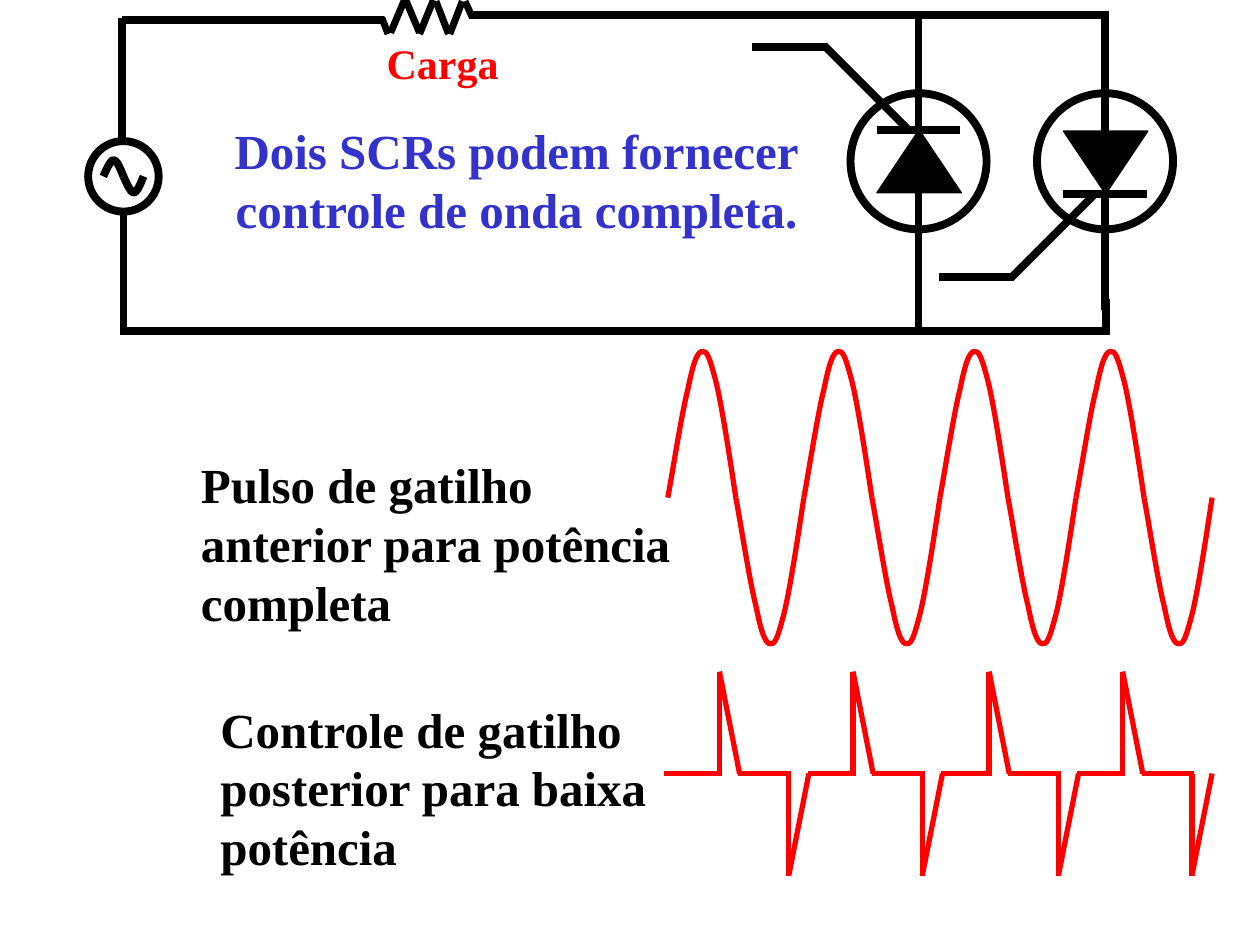
from pptx import Presentation
from pptx.dml.color import RGBColor
from pptx.enum.shapes import MSO_CONNECTOR, MSO_SHAPE
from pptx.enum.text import MSO_AUTO_SIZE, PP_ALIGN
from pptx.oxml.ns import qn
from pptx.util import Cm, Pt
from lxml import etree

BLACK = RGBColor(0x00, 0x00, 0x00)
RED = RGBColor(0xFF, 0x00, 0x00)
BLUE = RGBColor(0x33, 0x33, 0xCC)
FONT = "Times New Roman"
WIRE, ZIGZAG, TRACE = 4.5, 4, 3  # line widths in points

# Content: lengths are in inches, each box is left, top, width, height
LOAD_LABEL = (["Carga"], (2.97, 0.25, 1.09, 0.5))
TITLE = (["Dois SCRs podem fornecer", "controle de onda completa."],
         (1.7, 0.91, 4.8, 1.04))
NOTES = [
    ([" Pulso de gatilho", " anterior para potência", " completa"],
     (1.4, 3.56, 4.1, 1.5)),
    (["Controle de gatilho", "posterior para baixa", "potência"],
     (1.65, 5.5, 3.75, 1.5)),
]
WIRES = [
    ((0.97, 1.14), (0.97, 0.14)), ((0.97, 0.16), (3.05, 0.16)),
    ((3.73, 0.12), (8.8, 0.12)), ((0.98, 2.66), (0.98, 1.66)),
    ((0.95, 2.63), (8.8, 2.63)), ((7.29, 2.39), (7.29, 2.64)),
    ((8.78, 2.37), (8.78, 2.66)),
]
RESISTOR = [
    ((3.03, 0.14), (3.08, 0.27)), ((3.1, 0.26), (3.21, 0)),
    ((3.22, 0), (3.33, 0.26)), ((3.33, 0.27), (3.44, 0)),
    ((3.46, 0.01), (3.56, 0.27)), ((3.57, 0.27), (3.67, 0.01)),
    ((3.69, 0.01), (3.75, 0.14)),
]
# Centre x and y; 1 points up and -1 down
THYRISTORS = [(7.29, 1.28, 1), (8.77, 1.29, -1)]
CIRCLE_TOP = 0.74

# Half wave as Bezier control points on a 0.54 by 1.17 field:
# the start, then two handles and an end for each segment
HALF_WIDTH, HALF_HEIGHT = 0.54, 1.17
HALF_WAVE = [
    (0, 0),
    (0.03, 0.15), (0.11, 0.67), (0.16, 0.86),
    (0.2, 1.06), (0.23, 1.15), (0.27, 1.16),
    (0.31, 1.17), (0.33, 1.12), (0.38, 0.93),
    (0.43, 0.74), (0.51, 0.2), (0.54, 0),
]
WAVE_START, WAVE_Y, HALF_COUNT = 5.3, 3.95, 8
PULSE_STARTS, PULSE_GAP = [5.71, 6.77, 7.85, 8.91], 0.55
PULSE_START, PULSE_Y, PULSE_HEIGHT, PULSE_WIDTH = 5.27, 6.14, 0.81, 0.16


def inch(value):
    return Cm(value * 2.54)


def style_line(shape, color, width):
    shape.line.color.rgb = color
    shape.line.width = Pt(width)


def add_line(shapes, start, end, color=BLACK, width=WIRE):
    line = shapes.add_connector(MSO_CONNECTOR.STRAIGHT,
                                *(inch(value) for value in (*start, *end)))
    style_line(line, color, width)
    etree.SubElement(line._element.spPr, qn("a:effectLst"))


def add_solid(shapes, kind, box, fill=None, width=WIRE):
    shape = shapes.add_shape(kind, *(inch(value) for value in box))
    shape.shadow.inherit = False
    if fill is None:
        shape.fill.background()
    else:
        shape.fill.solid()
        shape.fill.fore_color.rgb = fill
    style_line(shape, BLACK, width)
    return shape


def add_text(shapes, lines, box, size=28, color=BLACK, align=PP_ALIGN.LEFT):
    frame = shapes.add_textbox(*(inch(value) for value in box)).text_frame
    frame.word_wrap = False
    frame.auto_size = MSO_AUTO_SIZE.SHAPE_TO_FIT_TEXT
    for index, line in enumerate(lines):
        para = frame.add_paragraph() if index else frame.paragraphs[0]
        para.alignment = align
        span = para.add_run()
        span.text = line
        span.font.name, span.font.size, span.font.bold = FONT, Pt(size), True
        span.font.color.rgb = color


def bend_segments(curve):
    """Turn each three straight segments into one Bezier segment."""
    segments = list(curve._element.iter(qn("a:lnTo")))
    for index in range(0, len(segments), 3):
        bezier = etree.Element(qn("a:cubicBezTo"))
        segments[index].addprevious(bezier)
        for segment in segments[index:index + 3]:
            bezier.append(segment[0])
            segment.getparent().remove(segment)


def add_half_wave(shapes, left, base, way, scale=(1, 1), color=RED, width=TRACE):
    points = [(inch(left + x * scale[0]), inch(base - way * y * scale[1]))
              for x, y in HALF_WAVE]
    builder = shapes.build_freeform(*points[0])
    builder.add_line_segments(points[1:], close=False)
    curve = builder.convert_to_shape()
    bend_segments(curve)
    curve.shadow.inherit = False
    curve.fill.background()
    style_line(curve, color, width)


def add_thyristor(shapes, x, y, way):
    """Draw a thyristor in its circle, with leads and a bent gate wire."""
    bar_y = y - way * 0.25
    bend = (x - 0.75, bar_y - way * 0.67)
    triangle = add_solid(shapes, MSO_SHAPE.ISOSCELES_TRIANGLE,
                         (x - 0.33, y - 0.25, 0.67, 0.5), BLACK, 0.75)
    triangle.rotation = 0 if way > 0 else 180
    add_solid(shapes, MSO_SHAPE.OVAL, (x - 0.54, CIRCLE_TOP, 1.08, 1.08))
    add_line(shapes, (x - 0.33, bar_y), (x + 0.33, bar_y))
    for side in (-1, 1):
        add_line(shapes, (x, y + side * 0.25), (x, y + side * 1.17))
    add_line(shapes, (x - 0.08, bar_y), bend)
    bend_y = bend[1] + way * 0.01
    add_line(shapes, (x - 0.73, bend_y), (x - 1.32, bend_y))


def draw_circuit(shapes):
    for x, y, way in THYRISTORS:
        add_thyristor(shapes, x, y, way)
    for segments, width in ((WIRES, WIRE), (RESISTOR, ZIGZAG)):
        for start, end in segments:
            add_line(shapes, start, end, width=width)
    add_text(shapes, *LOAD_LABEL, size=24, color=RED)
    # Alternating source: a circle around one small wave
    add_solid(shapes, MSO_SHAPE.OVAL, (0.7, 1.12, 0.56, 0.56))
    for left, way in ((0.82, 1), (0.98, -1)):
        add_half_wave(shapes, left, 1.4, way, color=BLACK, width=WIRE,
                      scale=(0.16 / HALF_WIDTH, 0.13 / HALF_HEIGHT))


def draw_waveforms(shapes):
    # Full power: an unbroken sine
    for index in range(HALF_COUNT):
        add_half_wave(shapes, WAVE_START + index * HALF_WIDTH, WAVE_Y,
                      -1 if index % 2 else 1)
    # Low power: a short spike late in each half cycle
    pulses = [(start + shift, way) for start in PULSE_STARTS
              for shift, way in ((0, 1), (PULSE_GAP, -1))]
    left = PULSE_START
    for x, way in pulses:
        peak, foot = (x, PULSE_Y - way * PULSE_HEIGHT), (x + PULSE_WIDTH, PULSE_Y)
        add_line(shapes, (left, PULSE_Y), (x + 0.02, PULSE_Y), RED, TRACE)
        add_line(shapes, peak, (x, PULSE_Y), RED, TRACE)
        add_line(shapes, peak, foot, RED, TRACE)
        left = x + PULSE_WIDTH - 0.01


def main():
    deck = Presentation()
    deck.slide_width, deck.slide_height = Cm(25.4), Cm(19.05)
    page = deck.slides.add_slide(deck.slide_layouts[6])
    draw_circuit(page.shapes.add_group_shape().shapes)
    add_text(page.shapes, *TITLE, color=BLUE, align=PP_ALIGN.CENTER)
    for lines, box in NOTES:
        add_text(page.shapes, lines, box)
    draw_waveforms(page.shapes.add_group_shape().shapes)
    deck.save("out.pptx")


if __name__ == "__main__":
    main()
